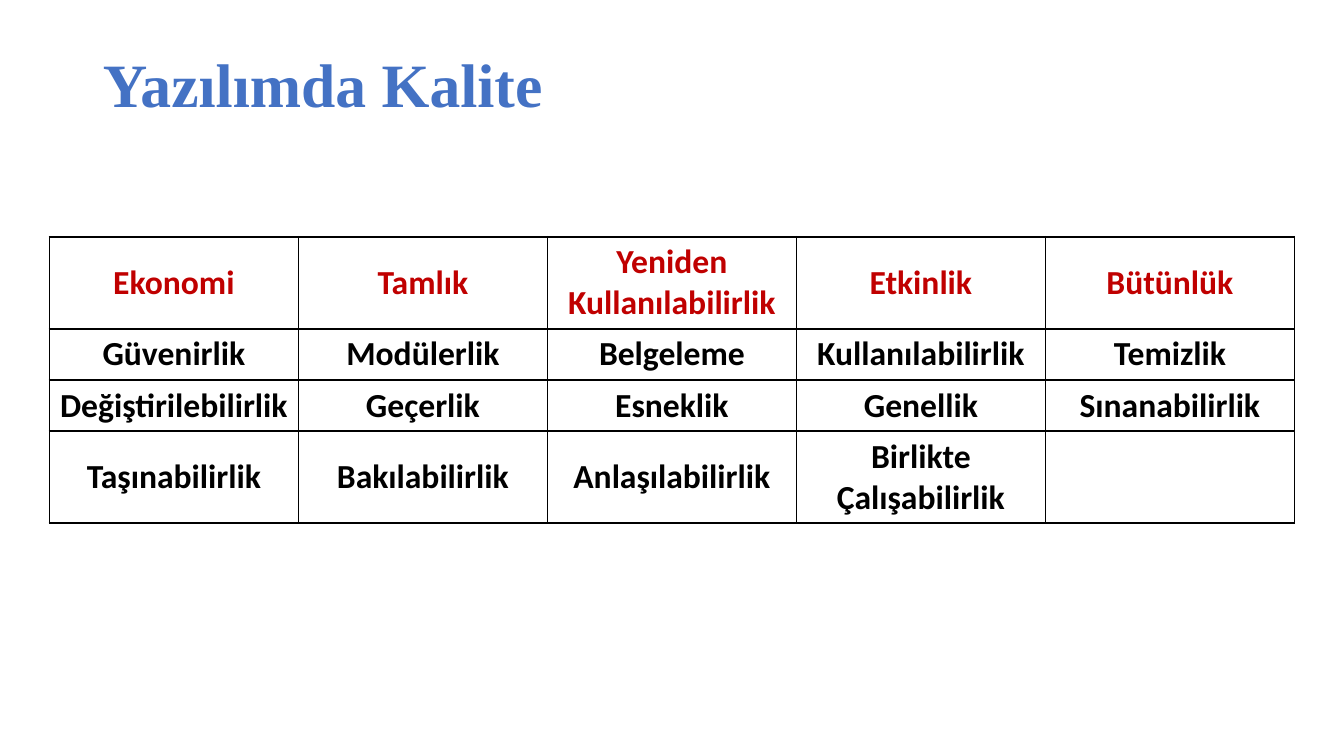
from dataclasses import dataclass

import lxml.etree
import pptx
import pptx.dml.color
import pptx.enum.text
import pptx.oxml.ns
import pptx.slide
import pptx.table
import pptx.text.text
import pptx.util

Inches = pptx.util.Inches
HUES = {"title": "4472C4", "head": "C00000", "body": "000000", "line": "000000"}
SIDES = ("a:lnL", "a:lnR", "a:lnT", "a:lnB")
COL_WIDTH = 2.47


@dataclass
class Row:
    height: float
    hue: str
    words: list[str]


ROWS = [
    Row(0.9, "head", ["Ekonomi", "Tamlık", "Yeniden\nKullanılabilirlik",
                      "Etkinlik", "Bütünlük"]),
    Row(0.5, "body", ["Güvenirlik", "Modülerlik", "Belgeleme",
                      "Kullanılabilirlik", "Temizlik"]),
    Row(0.5, "body", ["Değiştirilebilirlik", "Geçerlik", "Esneklik",
                      "Genellik", "Sınanabilirlik"]),
    Row(0.9, "body", ["Taşınabilirlik", "Bakılabilirlik", "Anlaşılabilirlik",
                      "Birlikte\nÇalışabilirlik", ""]),
]


def style(para: pptx.text.text._Paragraph, face: str, size: int, hue: str) -> None:
    font = para.font
    font.name, font.size, font.bold = face, pptx.util.Pt(size), True
    font.color.rgb = pptx.dml.color.RGBColor.from_string(HUES[hue])


def border(cell: pptx.table._Cell) -> None:
    props = cell._tc.get_or_add_tcPr()
    tag = pptx.oxml.ns.qn
    for side in SIDES:
        line = lxml.etree.SubElement(props, tag(side), w=str(pptx.util.Pt(1.5)))
        fill = lxml.etree.SubElement(line, tag("a:solidFill"))
        lxml.etree.SubElement(fill, tag("a:srgbClr"), val=HUES["line"])


def add_title(slide: pptx.slide.Slide) -> None:
    title = slide.shapes.title
    title.left, title.top = Inches(0.92), Inches(0.4)
    title.width, title.height = Inches(11.5), Inches(0.94)
    frame = title.text_frame
    frame.text = "Yazılımda Kalite"
    frame.auto_size = pptx.enum.text.MSO_AUTO_SIZE.NONE
    frame.vertical_anchor = pptx.enum.text.MSO_ANCHOR.MIDDLE
    para = frame.paragraphs[0]
    para.alignment = pptx.enum.text.PP_ALIGN.LEFT
    para.line_spacing = 0.9
    style(para, "Times New Roman", 44, "title")


def fill_cell(cell: pptx.table._Cell, text: str, hue: str) -> None:
    border(cell)
    cell.fill.background()
    cell.vertical_anchor = pptx.enum.text.MSO_ANCHOR.MIDDLE
    cell.text = text
    for para in cell.text_frame.paragraphs:
        para.alignment = pptx.enum.text.PP_ALIGN.CENTER
        style(para, "Calibri", 24, hue)


def add_grid(slide: pptx.slide.Slide) -> None:
    count = len(ROWS[0].words)
    grid = slide.shapes.add_table(
        len(ROWS), count, Inches(0.49), Inches(2.35),
        Inches(COL_WIDTH * count), Inches(sum(row.height for row in ROWS))).table
    grid.first_row = grid.horz_banding = False
    for col in grid.columns:
        col.width = Inches(COL_WIDTH)
    for line, row in zip(grid.rows, ROWS):
        line.height = Inches(row.height)
        for cell, text in zip(line.cells, row.words):
            fill_cell(cell, text, row.hue)


def main() -> None:
    deck = pptx.Presentation()
    deck.slide_width, deck.slide_height = Inches(13.33), Inches(7.5)
    # Title-only slide
    slide = deck.slides.add_slide(deck.slide_layouts[5])
    add_title(slide)
    # Table of quality traits
    add_grid(slide)
    deck.save("out.pptx")


if __name__ == "__main__":
    main()
